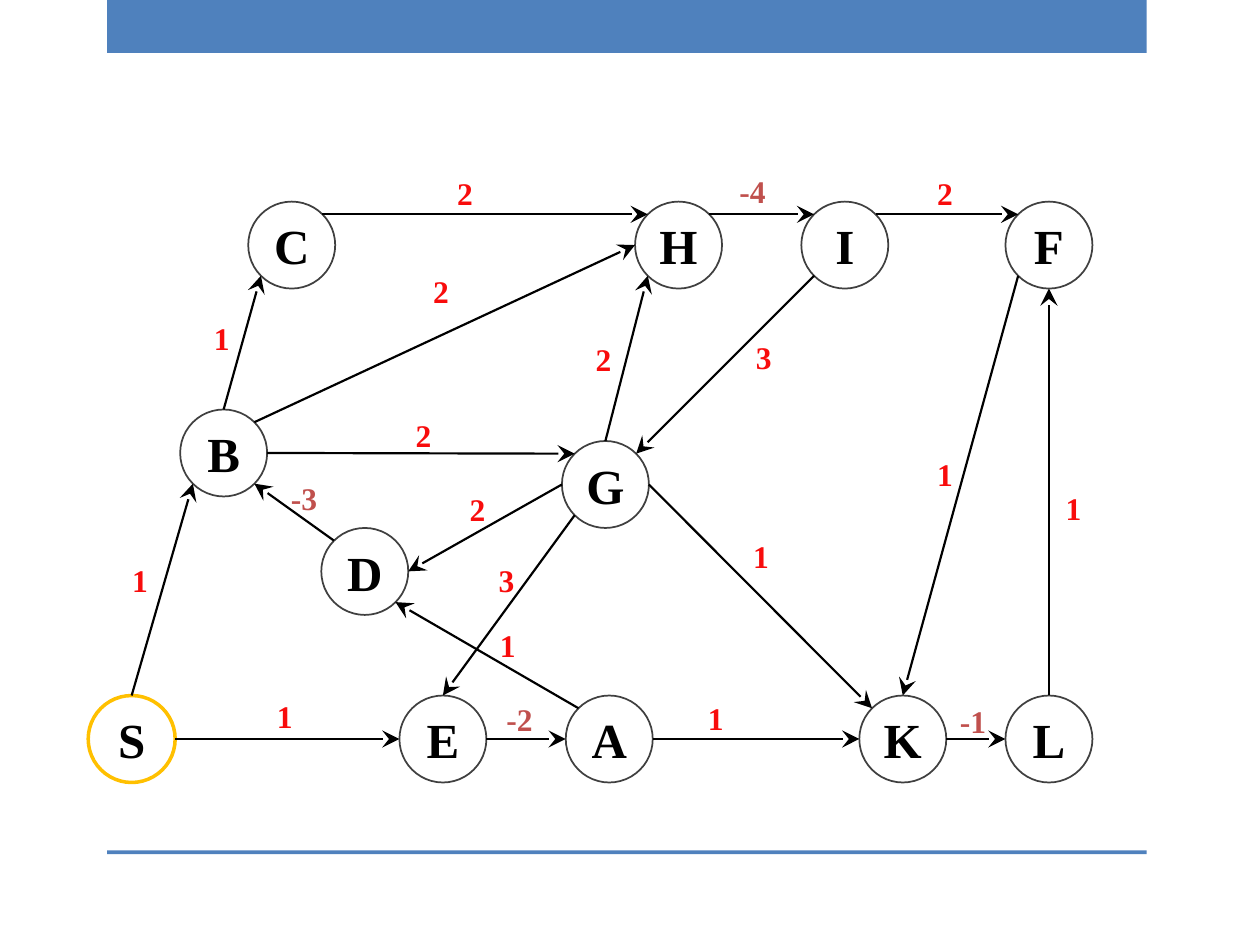
from math import cos, radians, sin

from lxml import etree
from pptx import Presentation
from pptx.dml.color import RGBColor
from pptx.enum.shapes import MSO_CONNECTOR, MSO_SHAPE
from pptx.enum.text import MSO_ANCHOR, MSO_AUTO_SIZE, PP_ALIGN
from pptx.oxml.ns import qn
from pptx.util import Inches, Pt

RECT, OVAL = MSO_SHAPE.RECTANGLE, MSO_SHAPE.OVAL
STRAIGHT = MSO_CONNECTOR.STRAIGHT
MIDDLE, CENTER = MSO_ANCHOR.MIDDLE, PP_ALIGN.CENTER
FIT_SHAPE = MSO_AUTO_SIZE.SHAPE_TO_FIT_TEXT

FONT = "Times New Roman"
BLACK, WHITE, BLUE = "000000", "FFFFFF", "4F81BD"
GRAY, GOLD = "404040", "FFC000"
RED, DARK_RED = "F80C0C", "C0504D"
DIAMETER = 0.69
TOP_ROW, BOTTOM_ROW = 1.6, 5.52
SITES = ["top", "top left", "left", "bottom left",
         "bottom", "bottom right", "right", "top right"]

BARS = [(0, 0.42), (6.75, 0.03)]
NODES = {
    "C": (1.97, TOP_ROW),
    "H": (5.04, TOP_ROW),
    "I": (6.36, TOP_ROW),
    "F": (7.98, TOP_ROW),
    "B": (1.43, 3.25),
    "G": (4.46, 3.5),
    "D": (2.55, 4.19),
    "S": (0.7, BOTTOM_ROW),
    "E": (3.17, BOTTOM_ROW),
    "A": (4.49, BOTTOM_ROW),
    "K": (6.82, BOTTOM_ROW),
    "L": (7.98, BOTTOM_ROW),
}
EDGES = [
    ("S", "top", "B", "bottom left", 1, 0.95, 4.4),
    ("S", "right", "E", "left", 1, 2.1, 5.48),
    ("B", "top", "C", "bottom left", 1, 1.6, 2.48),
    ("B", "top right", "H", "left", 2, 3.34, 2.11),
    ("B", "right", "G", "top left", 2, 3.2, 3.25),
    ("C", "top right", "H", "top left", 2, 3.53, 1.33),
    ("H", "top right", "I", "top left", -4, 5.77, 1.32),
    ("I", "top right", "F", "top left", 2, 7.34, 1.33),
    ("I", "bottom left", "G", "top right", 3, 5.9, 2.63),
    ("G", "top", "H", "bottom left", 2, 4.63, 2.65),
    ("G", "left", "D", "right", 2, 3.63, 3.84),
    ("G", "bottom left", "E", "top", 3, 3.86, 4.4),
    ("G", "right", "K", "top left", 1, 5.88, 4.21),
    ("D", "top left", "B", "bottom right", -3, 2.21, 3.75),
    ("E", "right", "A", "left", -2, 3.92, 5.51),
    ("A", "top left", "D", "bottom right", 1, 3.87, 4.92),
    ("A", "right", "K", "left", 1, 5.52, 5.5),
    ("F", "bottom left", "K", "top", 1, 7.34, 3.56),
    ("K", "right", "L", "left", -1, 7.52, 5.52),
    ("L", "top", "F", "bottom", 1, 8.36, 3.83),
]


def rgb(value):
    return RGBColor.from_string(value)


def add_shape(s, kind, x, y, w, h, fill, line=None, width=1):
    sp = s.shapes.add_shape(kind, Inches(x), Inches(y), Inches(w), Inches(h))
    sp.shadow.inherit = False
    sp.fill.solid()
    sp.fill.fore_color.rgb = rgb(fill)
    if line:
        sp.line.color.rgb = rgb(line)
        sp.line.width = Pt(width)
    else:
        sp.line.fill.background()
    return sp


def add_run(p, text, size, color):
    r = p.add_run()
    r.text = text
    r.font.name = FONT
    r.font.size = Pt(size)
    r.font.bold = True
    r.font.color.rgb = rgb(color)


def add_node(s, name, x, y):
    line, width = (GOLD, 2) if name == "S" else (GRAY, 1)
    sp = add_shape(s, OVAL, x, y, DIAMETER, DIAMETER, WHITE, line, width)
    tf = sp.text_frame
    tf.word_wrap = False
    tf.vertical_anchor = MIDDLE
    p = tf.paragraphs[0]
    p.alignment = CENTER
    add_run(p, name, 28, BLACK)
    return sp


def site_point(name, site):
    x, y = NODES[name]
    angle = radians(45 * SITES.index(site))
    radius = DIAMETER / 2
    return (Inches(x + radius - radius * sin(angle)),
            Inches(y + radius - radius * cos(angle)))


def add_edge(s, circles, start, start_site, end, end_site):
    cxn = s.shapes.add_connector(STRAIGHT, *site_point(start, start_site),
                                 *site_point(end, end_site))
    cxn.line.color.rgb = rgb(BLACK)
    cxn.line.width = Pt(1.25)
    etree.SubElement(cxn.line._get_or_add_ln(), qn("a:tailEnd"),
                     type="stealth", w="lg", len="lg")
    etree.SubElement(cxn._element.spPr, qn("a:effectLst"))
    joints = cxn._element.find(".//" + qn("p:cNvCxnSpPr"))
    for tag, name, site in (("a:stCxn", start, start_site),
                            ("a:endCxn", end, end_site)):
        etree.SubElement(joints, qn(tag), id=str(circles[name].shape_id),
                         idx=str(SITES.index(site)))


def add_weight(s, weight, x, y):
    width, color = (0.45, DARK_RED) if weight < 0 else (0.33, RED)
    tf = s.shapes.add_textbox(Inches(x), Inches(y), Inches(width),
                              Inches(0.4)).text_frame
    tf.word_wrap = True
    tf.auto_size = FIT_SHAPE
    add_run(tf.paragraphs[0], str(weight), 18, color)


def main():
    prs = Presentation()
    prs.slide_width, prs.slide_height = Inches(10), Inches(7.5)
    s = prs.slides.add_slide(prs.slide_layouts[6])
    for y, height in BARS:
        add_shape(s, RECT, 0.85, y, 8.25, height, BLUE)
    circles = {name: add_node(s, name, x, y) for name, (x, y) in NODES.items()}
    for *ends, weight, x, y in EDGES:
        add_edge(s, circles, *ends)
        add_weight(s, weight, x, y)
    prs.save("out.pptx")


if __name__ == "__main__":
    main()
